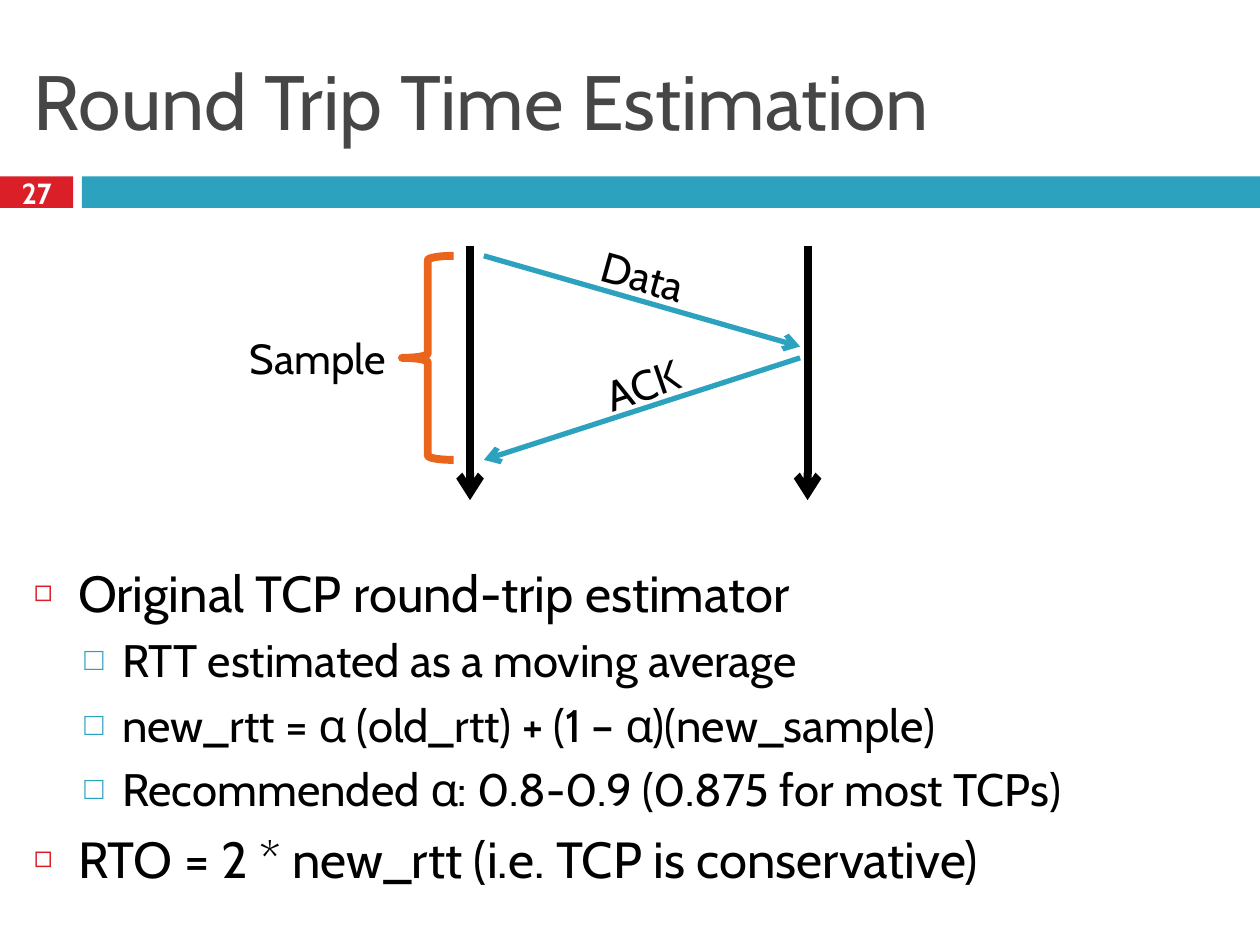
from dataclasses import dataclass

import pptx
import pptx.dml.color
import pptx.enum.shapes
import pptx.enum.text
import pptx.oxml
import pptx.oxml.ns
import pptx.util
from pptx.util import Pt

FONT = "Cabin"
COLORS = {"red": "DA1F28", "teal": "2DA2BF", "orange": "EB641B", "title": "464646",
          "black": "000000", "white": "FFFFFF"}
SHAPES = pptx.enum.shapes.MSO_SHAPE
ALIGN = pptx.enum.text.PP_ALIGN
ANCHOR = pptx.enum.text.MSO_ANCHOR
FIT = pptx.enum.text.MSO_AUTO_SIZE


@dataclass
class Arrow:
    """A line with an arrowhead at its end."""
    start: tuple
    end: tuple
    color: str
    width: float


@dataclass
class Label:
    """A centred text box."""
    text: str
    box: tuple
    size: float = 24
    rotation: float = 0
    color: str = "black"
    bold: bool = False


@dataclass
class Level:
    """Look of one bullet level."""
    size: float
    before: float
    left: float
    hanging: float
    bullet: str
    color: str
    percent: int


LEVELS = [Level(29, 7, 25.2, 25.2, "\u25fb", "red", 60),
          Level(26, 5.5, 50.4, 21.6, "\u25a1", "teal", 70)]
BULLETS = [
    (0, "Original TCP round-trip estimator"),
    (1, "RTT estimated as a moving average"),
    (1, "new_rtt = α (old_rtt) + (1 – α)(new_sample)"),
    (1, "Recommended α: 0.8-0.9 (0.875 for most TCPs)"),
    (0, "RTO = 2 * new_rtt (i.e. TCP is conservative)"),
]
BARS = [((0, 100.8, 41.8, 18), "red"), ((46.8, 100.8, 673.2, 18), "teal")]
SENDER, RECEIVER = 268.6, 461.5
ARROWS = [Arrow((x, 140.4), (x, 285.8), "black", 4.5) for x in (SENDER, RECEIVER)] + [
    Arrow((276.5, 146.2), (457.2, 198), "teal", 3),
    Arrow((457.2, 204.5), (276.5, 262.8), "teal", 3),
]
LABELS = [
    Label("27", (0, 98.6, 41.8, 23.8), 16.6, color="white", bold=True),
    Label("Data", (288.7, 139.7, 157.7, 36), rotation=15.6),
    Label("ACK", (325.4, 201.6, 83.5, 36), rotation=341),
    Label("Sample", (128.2, 186.5, 106.6, 36)),
]


def rgb(name: str):
    """Look up a colour by name."""
    return pptx.dml.color.RGBColor.from_string(COLORS[name])


def pts(values: tuple) -> list:
    """Turn numbers into point lengths."""
    return [Pt(v) for v in values]


def place(sp, box: tuple) -> None:
    """Move and size a shape."""
    sp.left, sp.top, sp.width, sp.height = pts(box)


def add_run(p, text: str, size: float, color: str, bold: bool = False) -> None:
    """Append one formatted run."""
    r = p.add_run()
    r.text = text
    r.font.name, r.font.size, r.font.bold = FONT, Pt(size), bold
    r.font.color.rgb = rgb(color)


def add_bar(s, box: tuple, color: str) -> None:
    """Draw a plain filled bar."""
    sp = s.shapes.add_shape(SHAPES.RECTANGLE, *pts(box))
    sp.shadow.inherit = False
    sp.fill.solid()
    sp.fill.fore_color.rgb = rgb(color)
    sp.line.fill.background()


def add_brace(s, box: tuple) -> None:
    """Draw the brace that spans one sample."""
    sp = s.shapes.add_shape(SHAPES.LEFT_BRACE, *pts(box))
    sp.shadow.inherit = False
    sp.fill.background()
    sp.line.color.rgb = rgb("orange")
    sp.line.width = Pt(4.5)


def add_arrow(s, arrow: Arrow) -> None:
    """Draw a connector with an open arrowhead."""
    sp = s.shapes.add_connector(pptx.enum.shapes.MSO_CONNECTOR.STRAIGHT,
                                *pts(arrow.start + arrow.end))
    sp.line.color.rgb = rgb(arrow.color)
    sp.line.width = Pt(arrow.width)
    ln = sp.line._get_or_add_ln()
    pptx.oxml.ns.qn("a:tailEnd")
    ln.append(pptx.oxml.parse_xml(
        f'<a:tailEnd {pptx.oxml.ns.nsdecls("a")} type="arrow"/>'))
    sp._element.spPr.append(pptx.oxml.parse_xml(
        f'<a:effectLst {pptx.oxml.ns.nsdecls("a")}/>'))


def add_label(s, label: Label) -> None:
    """Add a centred text box."""
    sp = s.shapes.add_textbox(*pts(label.box))
    sp.rotation = label.rotation
    tf = sp.text_frame
    tf.word_wrap = True
    tf.vertical_anchor = ANCHOR.MIDDLE
    p = tf.paragraphs[0]
    p.alignment = ALIGN.CENTER
    add_run(p, label.text, label.size, label.color, label.bold)


def set_bullet(p, level: Level) -> None:
    """Set the indent and bullet of a paragraph."""
    pPr = p._p.get_or_add_pPr()
    pPr.set("marL", str(Pt(level.left)))
    pPr.set("indent", str(-Pt(level.hanging)))
    ns = pptx.oxml.ns.nsdecls("a")
    for xml in (f'<a:buClr {ns}><a:srgbClr val="{COLORS[level.color]}"/></a:buClr>',
                f'<a:buSzPct {ns} val="{level.percent * 1000}"/>',
                f'<a:buChar {ns} char="{level.bullet}"/>'):
        pPr.append(pptx.oxml.parse_xml(xml))


def fill_title(sp) -> None:
    """Write the slide title."""
    place(sp, (12.2, 18, 696.2, 77.8))
    tf = sp.text_frame
    tf.auto_size = FIT.NONE
    tf.vertical_anchor = ANCHOR.MIDDLE
    p = tf.paragraphs[0]
    p.alignment = ALIGN.LEFT
    add_run(p, "Round Trip Time Estimation", 44, "title")


def fill_body(sp) -> None:
    """Write the bulleted list."""
    place(sp, (12.2, 317.5, 696.2, 211))
    tf = sp.text_frame
    tf.auto_size = FIT.NONE
    for i, (depth, text) in enumerate(BULLETS):
        p = tf.add_paragraph() if i else tf.paragraphs[0]
        level = LEVELS[depth]
        p.level = depth
        p.space_before = Pt(level.before)
        set_bullet(p, level)
        add_run(p, text, level.size, "black")


def main() -> None:
    """Build and save the slide."""
    prs = pptx.Presentation()
    prs.slide_width, prs.slide_height = Pt(720), Pt(540)
    s = prs.slides.add_slide(prs.slide_layouts[1])
    fill_title(s.shapes.title)
    fill_body(s.placeholders[1])
    for box, color in BARS:
        add_bar(s, box, color)
    for arrow in ARROWS:
        add_arrow(s, arrow)
    add_brace(s, (229.7, 146.2, 29.5, 116.6))
    for label in LABELS:
        add_label(s, label)
    prs.save("out.pptx")


main()
